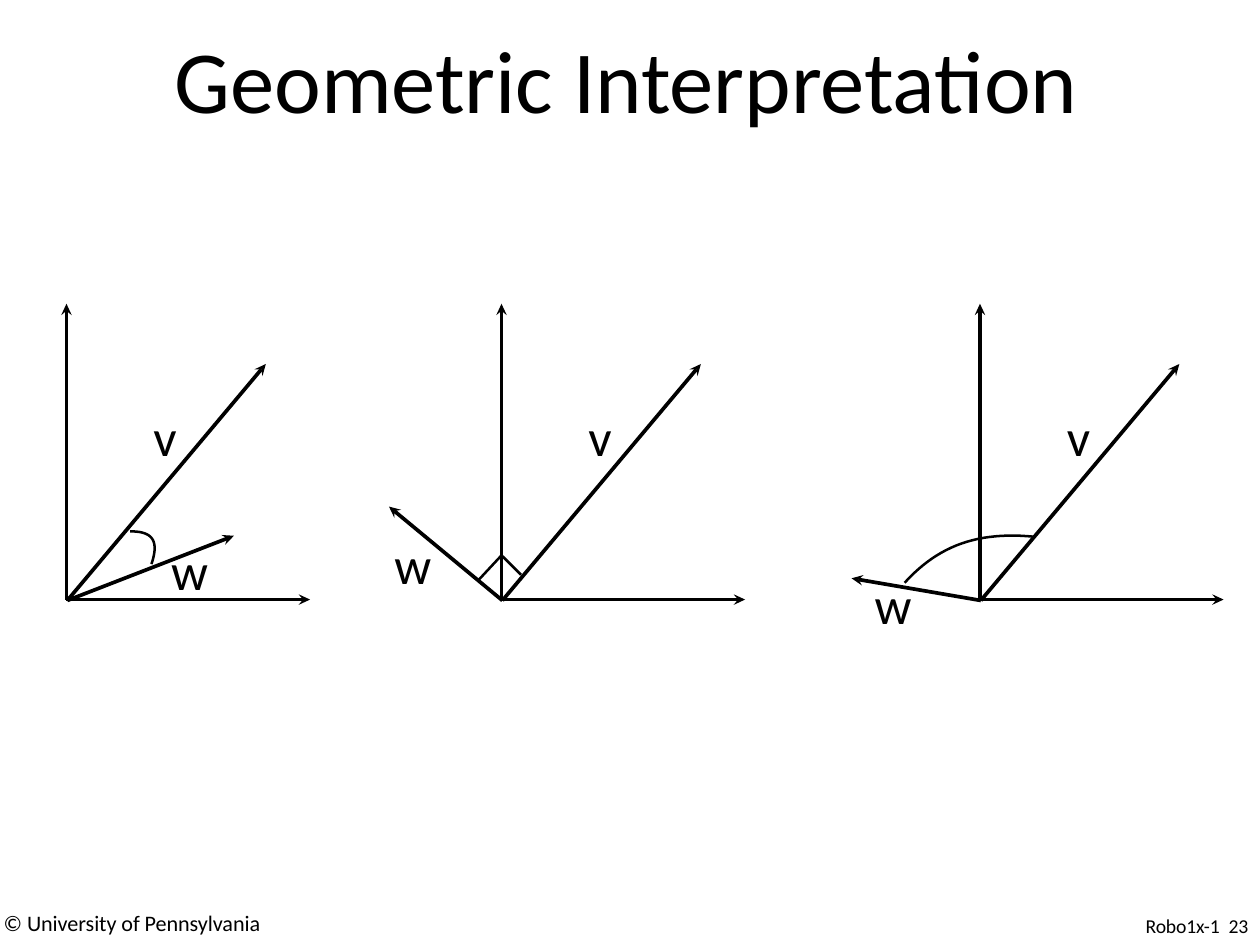
"""Build the slide that shows three angles between vectors v and w."""
import math
from dataclasses import dataclass

from pptx import Presentation
from pptx import util as u
from pptx.dml.color import RGBColor
from pptx.enum import shapes, text
from pptx.oxml import ns
from lxml import etree

TITLE = [("Geometric Interpretation", -5)]
RIGHTS = [("© ", 0), ("University of Pennsylvania", -5)]
PAGE = [("Robo1x-1", -10), (" ", 350), ("23", -10)]

BASE = 677
AXES = [(0, -334), (275, 0)]
V_TIP, V_LABEL = (225, -266), (98, -220)
HEAD = [(0, 0), (13, 6), (8, 0), (13, -6)]
NOTCH = 8
PLOTS = [
    dict(left=75, tip=(264, 605), label=(193, 608),
         mark=[(147, 600), (172, 600), (180, 610), (171, 637)]),
    dict(left=566, tip=(439, 572), label=(445, 602),
         mark=[(539, 656), (566, 627), (588, 649)]),
    dict(left=1106, tip=(961, 653), label=(987, 647),
         mark=[(1021, 658), (1060, 615), (1105, 600), (1167, 606)]),
]


@dataclass(frozen=True)
class Theme:
    ink: RGBColor = RGBColor(0, 0, 0)
    font: str = "Calibri"
    title: int = 72
    label: int = 42
    rights: int = 18
    page: int = 16
    arrow: float = 3
    mark: float = 2.04


THEME = Theme()
SCALE = 9144


def px(*nums):
    return [u.Emu(round(n * SCALE)) for n in nums]


def write(shape, box, runs, size, lead=None):
    shape.left, shape.top, shape.width, shape.height = px(*box)
    frame = shape.text_frame
    frame.margin_left = frame.margin_right = 0
    frame.margin_top = frame.margin_bottom = 0
    frame.word_wrap = False
    frame.auto_size = text.MSO_AUTO_SIZE.NONE
    frame.vertical_anchor = text.MSO_ANCHOR.TOP
    para = frame.paragraphs[0]
    para.alignment = text.PP_ALIGN.LEFT
    if lead:
        para.line_spacing = u.Pt(lead)
    for words, track in runs:
        run = para.add_run()
        run.text = words
        run.font.name, run.font.size = THEME.font, u.Pt(size)
        run.font.color.rgb = THEME.ink
        run.font._element.set("spc", str(track))


def label(slide, box, *args):
    write(slide.shapes.add_textbox(*px(*box)), box, *args)


def stroke(shape, width):
    shape.line.color.rgb = THEME.ink
    shape.line.width = u.Pt(width)


def outline(slide, pts, close):
    first, *rest = [px(*p) for p in pts]
    pen = slide.shapes.build_freeform(*first)
    pen.add_line_segments(rest, close=close)
    shape = pen.convert_to_shape()
    shape.shadow.inherit = False
    return shape


def arrow(slide, start, tip):
    turn = math.atan2(start[1] - tip[1], start[0] - tip[0])
    cos, sin = math.cos(turn), math.sin(turn)

    def place(back, side):
        return (tip[0] + back * cos - side * sin,
                tip[1] + back * sin + side * cos)

    line = slide.shapes.add_connector(
        shapes.MSO_CONNECTOR.STRAIGHT, *px(*start, *place(NOTCH, 0)))
    stroke(line, THEME.arrow)
    etree.SubElement(line._element.spPr, ns.qn("a:effectLst"))
    head = outline(slide, [place(*p) for p in HEAD], True)
    head.fill.solid()
    head.fill.fore_color.rgb = THEME.ink
    head.line.fill.background()


def curve(pts, steps=24):
    for i in range(steps + 1):
        t = i / steps
        s = 1 - t
        parts = (s ** 3, 3 * s * s * t, 3 * s * t * t, t ** 3)
        yield tuple(sum(k * p[n] for k, p in zip(parts, pts)) for n in (0, 1))


def mark(slide, pts):
    pts = list(curve(pts)) if len(pts) == 4 else pts
    shape = outline(slide, pts, False)
    shape.fill.background()
    stroke(shape, THEME.mark)


def plot(slide, left, tip, label_at, pts):
    for dx, dy in AXES:
        arrow(slide, (left, BASE), (left + dx, BASE + dy))
    for end in (tip, (left + V_TIP[0], BASE + V_TIP[1])):
        arrow(slide, (left + 1, BASE + 1), end)
    v_at = (left + V_LABEL[0], BASE + V_LABEL[1])
    label(slide, (*v_at, 29, 74), [("v", 0)], THEME.label)
    label(slide, (*label_at, 45, 74), [("w", 0)], THEME.label)
    mark(slide, pts)


def main():
    deck = Presentation()
    deck.slide_width, deck.slide_height = px(1422, 1067)
    slide = deck.slides.add_slide(deck.slide_layouts[5])
    write(slide.shapes.title, (197, 28, 1030, 126), TITLE, THEME.title)
    for p in PLOTS:
        plot(slide, p["left"], p["tip"], p["label"], p["mark"])
    label(slide, (4, 1032, 297, 28), RIGHTS, THEME.rights, 18.1)
    label(slide, (1293, 1036, 123, 25), PAGE, THEME.page, 16.1)
    deck.save("out.pptx")


if __name__ == "__main__":
    main()
